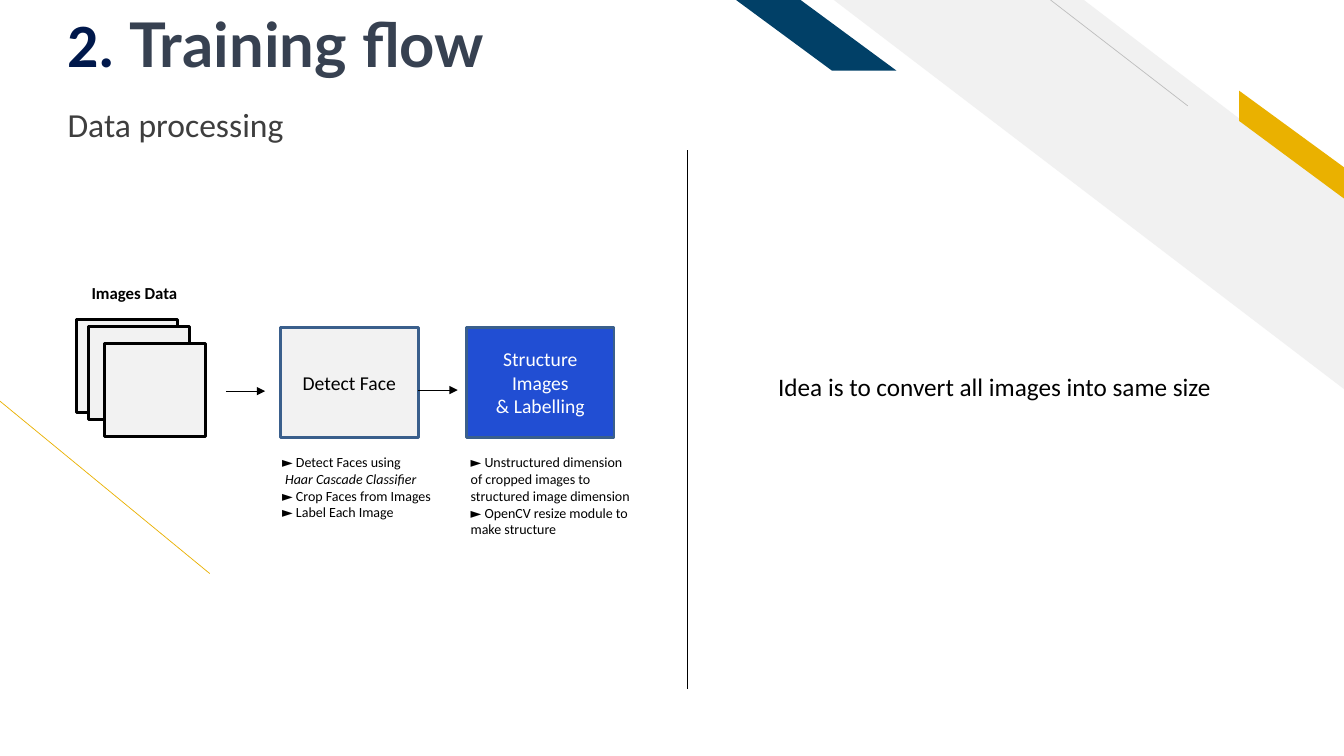
from dataclasses import dataclass

from lxml.etree import SubElement
from pptx import Presentation
from pptx.dml.color import RGBColor
from pptx.enum.shapes import MSO_CONNECTOR, MSO_SHAPE
from pptx.enum.text import MSO_ANCHOR, MSO_AUTO_SIZE, PP_ALIGN
from pptx.oxml.ns import qn
from pptx.util import Inches, Pt


@dataclass(frozen=True)
class Theme:
    font: str = "Calibri"
    title_font: str = "Lato"
    black: str = "000000"
    white: str = "FFFFFF"
    number: str = "00184B"
    title: str = "374151"
    subtitle: str = "3E3E3E"
    band: str = "F1F1F1"
    band_line: str = "BEBEBE"
    gold: str = "EAB100"
    navy: str = "014067"
    panel: str = "F2F2F2"
    blue: str = "214ED3"
    box_line: str = "3A5F8C"
    title_size: int = 44
    subtitle_size: int = 24
    idea_size: int = 18
    box_size: int = 14
    label_size: int = 12
    note_size: int = 10


class TrainingSlide:
    def __init__(self, presentation, theme):
        self.theme = theme
        self.slide = presentation.slides.add_slide(presentation.slide_layouts[1])
        self.shapes = self.slide.shapes

    def style(self, font, size, color, name=None, bold=False):
        font.name = name or self.theme.font
        font.size = Pt(size)
        font.bold = bold
        font.color.rgb = RGBColor.from_string(color)

    def paint(self, shape, fill, line=None, width=2):
        shape.shadow.inherit = False
        shape.fill.solid()
        shape.fill.fore_color.rgb = RGBColor.from_string(fill)
        if line:
            shape.line.color.rgb = RGBColor.from_string(line)
            shape.line.width = Pt(width)
        else:
            shape.line.fill.background()

    def placeholder(self, index, left, top, width, height):
        shape = self.slide.placeholders[index]
        shape.left, shape.top = Inches(left), Inches(top)
        shape.width, shape.height = Inches(width), Inches(height)
        frame = shape.text_frame
        frame.auto_size = MSO_AUTO_SIZE.NONE
        frame.vertical_anchor = MSO_ANCHOR.TOP
        frame.margin_left = frame.margin_right = 0
        frame.margin_top = frame.margin_bottom = 0
        paragraph = frame.paragraphs[0]
        paragraph.alignment = PP_ALIGN.LEFT
        paragraph.space_before = Pt(0)
        return paragraph

    def title(self, number, text):
        theme = self.theme
        paragraph = self.placeholder(0, 0.67, 0.06, 12.6, 0.74)
        for words, color, name in ((number, theme.number, theme.font),
                                   (text, theme.title, theme.title_font)):
            run = paragraph.add_run()
            run.text = words
            self.style(run.font, theme.title_size, color, name, True)

    def subtitle(self, text):
        paragraph = self.placeholder(1, 0.67, 1.03, 5.8, 0.4)
        paragraph.text = text
        properties = paragraph._p.get_or_add_pPr()
        properties.set("marL", "0")
        properties.set("indent", "0")
        SubElement(properties, qn("a:buNone"))
        self.style(paragraph.font, self.theme.subtitle_size, self.theme.subtitle)

    def polygon(self, points, fill):
        corners = [(Inches(x), Inches(y)) for x, y in points]
        builder = self.shapes.build_freeform(*corners[0])
        builder.add_line_segments(corners[1:], close=True)
        self.paint(builder.convert_to_shape(), fill)

    def line(self, start, end, color, width=0.75, arrow=False):
        connector = self.shapes.add_connector(
            MSO_CONNECTOR.STRAIGHT, *(Inches(value) for value in start + end))
        connector.line.color.rgb = RGBColor.from_string(color)
        connector.line.width = Pt(width)
        properties = connector._element.spPr
        if arrow:
            SubElement(properties.find(qn("a:ln")), qn("a:tailEnd"), type="triangle")
        SubElement(properties, qn("a:effectLst"))

    def box(self, left, top, width, height, fill, line, lines=(), color=None):
        shape = self.shapes.add_shape(MSO_SHAPE.RECTANGLE, Inches(left), Inches(top),
                                      Inches(width), Inches(height))
        self.paint(shape, fill, line)
        if lines:
            frame = shape.text_frame
            frame.vertical_anchor = MSO_ANCHOR.MIDDLE
            self.fill_text(frame, lines, self.theme.box_size, color, align=PP_ALIGN.CENTER)

    def fill_text(self, frame, lines, size, color, bold=False, align=PP_ALIGN.LEFT):
        frame.word_wrap = True
        for index, text in enumerate(lines):
            paragraph = frame.add_paragraph() if index else frame.paragraphs[0]
            paragraph.text = text
            paragraph.alignment = align
            self.style(paragraph.font, size, color, bold=bold)

    def text(self, left, top, width, height, lines, size, bold=False):
        frame = self.shapes.add_textbox(Inches(left), Inches(top),
                                        Inches(width), Inches(height)).text_frame
        self.fill_text(frame, lines, size, self.theme.black, bold)
        return frame


def main():
    presentation = Presentation()
    presentation.slide_width, presentation.slide_height = Inches(13.33), Inches(7.5)
    theme = Theme()
    page = TrainingSlide(presentation, theme)

    page.line((2.08, 5.69), (0, 3.98), theme.gold, 0.5)
    page.polygon([(10.75, 0), (8.27, 0), (13.33, 3.86), (13.33, 1.97)], theme.band)
    page.line((11.78, 1.05), (10.42, 0), theme.band_line, 0.5)
    page.polygon([(12.29, 0.9), (12.29, 1.2), (13.33, 1.97), (13.33, 1.66)], theme.gold)
    page.polygon([(7.94, 0), (7.3, 0), (8.25, 0.7), (8.89, 0.7)], theme.navy)

    page.title("2. ", "Training flow")
    page.subtitle("Data processing")

    for left, top in ((0.76, 3.17), (0.88, 3.24), (1.04, 3.41)):
        page.box(left, top, 1, 0.92, theme.panel, theme.black)
    page.box(2.78, 3.25, 1.37, 1.09, theme.panel, theme.box_line,
             ["Detect Face"], theme.black)
    page.box(4.63, 3.25, 1.46, 1.09, theme.blue, theme.box_line,
             ["Structure Images", "& Labelling"], theme.white)
    for left, top in ((2.24, 3.88), (4.15, 3.87)):
        page.line((left, top), (left + 0.39, top), theme.black, arrow=True)

    detection = page.text(2.7, 4.45, 1.84, 0.77, [
        "► Detect Faces using",
        "Haar Cascade Classifier",
        "► Crop Faces from Images",
        "► Label Each Image",
    ], theme.note_size)
    classifier = detection.paragraphs[1]
    classifier.font.italic = True
    classifier._p.get_or_add_pPr().set("marL", str(Inches(0.03)))
    page.text(4.57, 4.45, 1.84, 1.11, [
        "► Unstructured dimension of cropped images to structured image dimension",
        "► OpenCV resize module to make structure",
    ], theme.note_size)
    page.text(0.81, 2.76, 1.27, 0.3, ["Images Data"], theme.label_size, bold=True)

    page.line((6.82, 1.49), (6.82, 6.84), theme.black)
    idea = page.text(7.62, 3.63, 4.8, 0.4,
                     ["Idea is to convert all images into same size"], theme.idea_size)
    idea.word_wrap = False

    presentation.save("out.pptx")


if __name__ == "__main__":
    main()
